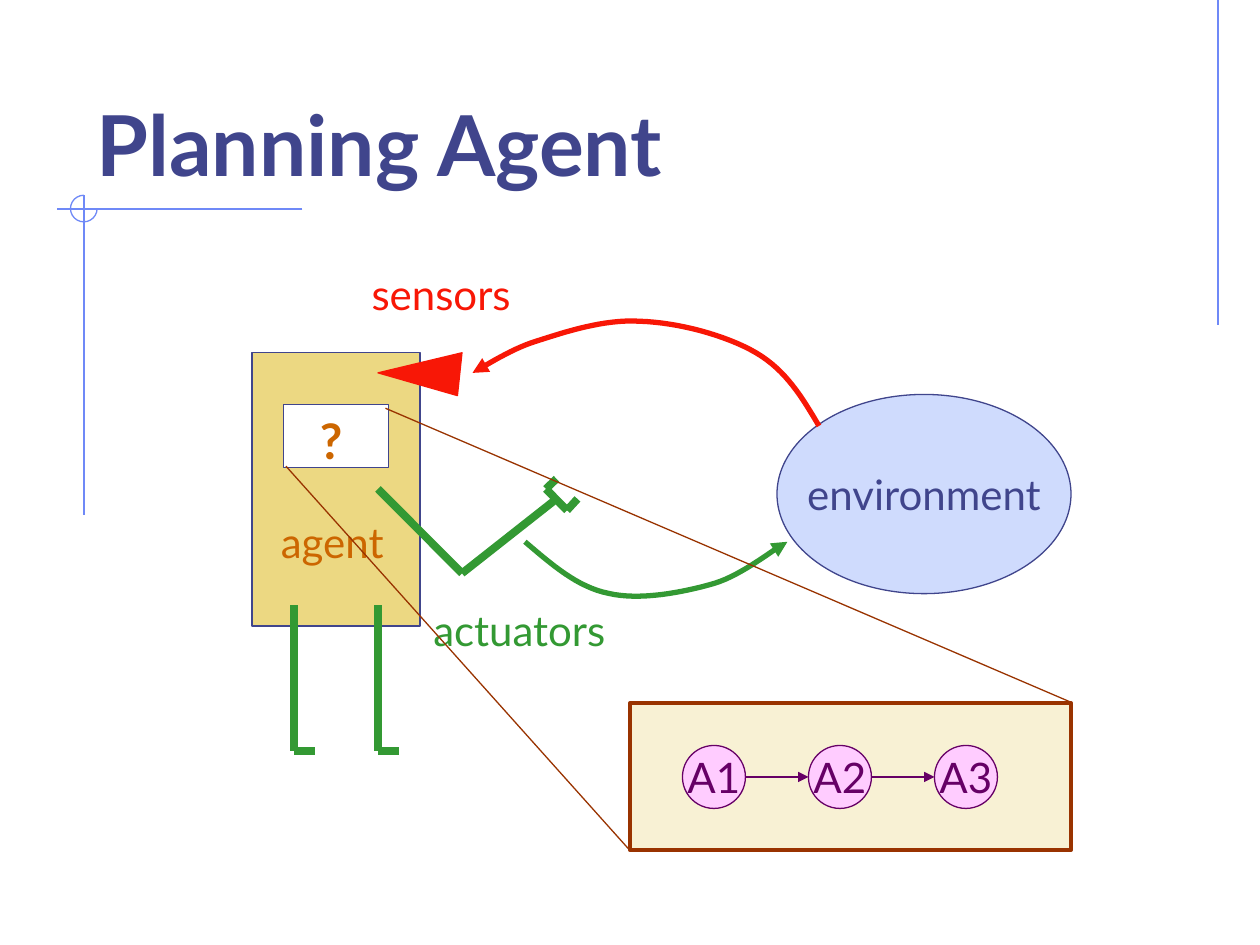
"""Draw the planning agent slide: agent, environment and plan."""
from dataclasses import dataclass

from lxml import etree
from pptx import Presentation
from pptx.dml.color import RGBColor
from pptx.enum import shapes as kinds, text as txt
from pptx.oxml import ns
from pptx.util import Pt

FONT = "Lato"
NAVY, PALE, RULE = "40458C", "CFDBFD", "6F89F7"
RED, GREEN, ORANGE = "F81706", "339933", "CC6600"
SAND, CREAM, BROWN = "ECD882", "F8F1D4", "993300"
PINK, PLUM, WHITE = "FFCCFF", "660066", "FFFFFF"
RECT, OVAL = kinds.MSO_SHAPE.RECTANGLE, kinds.MSO_SHAPE.OVAL
Point = tuple[float, float]


@dataclass
class Box:
    left: float
    top: float
    width: float
    height: float

    def place(self) -> list[Pt]:
        return [Pt(n) for n in (self.left, self.top, self.width, self.height)]


@dataclass
class Pen:
    color: str
    width: float = 0.75
    arrow: bool = False


@dataclass
class Label:
    words: str
    color: str
    size: float = 24
    bold: bool = False


def tint(value: str) -> RGBColor:
    return RGBColor.from_string(value)


def stroke(item, pen: Pen) -> None:
    item.line.color.rgb = tint(pen.color)
    item.line.width = Pt(pen.width)
    if pen.arrow:
        edge = item.line._get_or_add_ln()
        etree.SubElement(edge, ns.qn("a:tailEnd"), type="triangle")


def paint(shape, fill: str | None, pen: Pen) -> None:
    shape.shadow.inherit = False
    if fill:
        shape.fill.solid()
        shape.fill.fore_color.rgb = tint(fill)
    else:
        shape.fill.background()
    stroke(shape, pen)


def write(frame, label: Label, align=txt.PP_ALIGN.LEFT) -> None:
    para = frame.paragraphs[0]
    para.alignment = align
    run = para.add_run()
    run.text = label.words
    font = run.font
    font.name, font.size, font.bold = FONT, Pt(label.size), label.bold
    font.color.rgb = tint(label.color)


def block(slide, kind, box: Box, fill: str | None, pen: Pen, label: Label | None = None):
    shape = slide.shapes.add_shape(kind, *box.place())
    paint(shape, fill, pen)
    if label:
        frame = shape.text_frame
        frame.word_wrap = False
        frame.vertical_anchor = txt.MSO_ANCHOR.MIDDLE
        write(frame, label, txt.PP_ALIGN.CENTER)
    return shape


def note(slide, box: Box, label: Label) -> None:
    frame = slide.shapes.add_textbox(*box.place()).text_frame
    frame.word_wrap = False
    frame.auto_size = txt.MSO_AUTO_SIZE.SHAPE_TO_FIT_TEXT
    write(frame, label)


def line(slide, start: Point, end: Point, pen: Pen) -> None:
    link = slide.shapes.add_connector(
        kinds.MSO_CONNECTOR.STRAIGHT, *(Pt(n) for n in start + end))
    stroke(link, pen)
    etree.SubElement(link._element.spPr, ns.qn("a:effectLst"))


def outline(slide, points: list[Point], fill: str | None, pen: Pen) -> None:
    first, *rest = [(Pt(x), Pt(y)) for x, y in points]
    draft = slide.shapes.build_freeform(*first)
    draft.add_line_segments(rest, close=fill is not None)
    paint(draft.convert_to_shape(), fill, pen)


def bend(knots: list[Point], steps: int = 16) -> list[Point]:
    points = knots[:1]
    for i in range(0, len(knots) - 1, 3):
        group = knots[i:i + 4]
        for step in range(1, steps + 1):
            t = step / steps
            u = 1 - t
            parts = (u ** 3, 3 * u * u * t, 3 * u * t * t, t ** 3)
            points.append((sum(w * p[0] for w, p in zip(parts, group)),
                           sum(w * p[1] for w, p in zip(parts, group))))
    return points


def frame_page(slide) -> None:
    pen = Pen(RULE)
    for start, end in (((696, 0), (696, 186)), ((172.8, 119.5), (32.4, 119.5)),
                       ((48, 111.6), (48, 294.5))):
        line(slide, start, end, pen)
    arc = block(slide, kinds.MSO_SHAPE.ARC, Box(40.3, 111.6, 15.2, 15.2), None, pen)
    arc.adjustments[0], arc.adjustments[1] = 0, 162

    title = slide.shapes.title
    title.left, title.top, title.width, title.height = Box(48, 24, 612, 90).place()
    frame = title.text_frame
    frame.word_wrap = True
    frame.auto_size = txt.MSO_AUTO_SIZE.NONE
    frame.vertical_anchor = txt.MSO_ANCHOR.BOTTOM
    write(frame, Label("Planning Agent", NAVY, 48, True))


def draw_world(slide) -> None:
    block(slide, OVAL, Box(444, 225.4, 168, 113.8), PALE, Pen(NAVY),
          Label("environment", NAVY))
    sense = [(468, 243.4), (458.6, 227.5), (449.3, 211.7), (432, 201.6),
             (414.7, 191.5), (387.4, 184.3), (365.8, 183.6),
             (344.9, 182.2), (321.8, 190.1), (306, 195.1),
             (290.2, 200.2), (275.8, 210.2), (270, 213.1)]
    act = [(300, 309.6), (315.4, 322.6), (329.8, 335.5), (347.8, 339.1),
           (365.8, 343.4), (391, 338.4), (408.2, 333.4),
           (424.8, 328.3), (442.8, 313.2), (450, 309.6)]
    for knots, color in ((sense, RED), (act, GREEN)):
        outline(slide, bend(knots), None, Pen(color, 3, True))


def draw_agent(slide) -> None:
    block(slide, RECT, Box(144, 201.6, 96, 156.2), SAND, Pen(NAVY))
    note(slide, Box(153.4, 291.6, 79.2, 36), Label("agent", ORANGE))
    block(slide, RECT, Box(162, 231.1, 60, 36), WHITE, Pen(NAVY))
    note(slide, Box(175.7, 231.1, 27.4, 41), Label("?", ORANGE, 28, True))

    limb = Pen(GREEN, 4.5)
    elbow, palm, thumb = (264, 327.6), (312, 279.4), (324, 291.6)
    for start, end in (((216, 279.4), elbow), (elbow, (318, 285.1)), (palm, thumb),
                       (palm, (318, 273.6)), (thumb, (330, 285.1))):
        line(slide, start, end, limb)
    for x in (168, 216):
        line(slide, (x, 429.1), (x, 345.6), limb)
        line(slide, (x, 429.1), (x + 12, 429.1), limb)

    outline(slide, [(216, 213.1), (264, 201.6), (261.4, 226.1)], RED, Pen(RED))
    note(slide, Box(205.2, 149.8, 101.5, 36), Label("sensors", RED))
    note(slide, Box(240.5, 342, 121, 36), Label("actuators", GREEN))


def draw_plan(slide) -> None:
    block(slide, RECT, Box(360, 401.8, 252, 84), CREAM, Pen(BROWN, 2.25))
    line(slide, (163.4, 266.4), (360, 486), Pen(BROWN))
    line(slide, (220.3, 233.3), (611.3, 401), Pen(BROWN))
    left, top, size, pitch = 390, 426, 36, 72
    mid = top + size / 2
    for i, name in enumerate(("A1", "A2", "A3")):
        x = left + i * pitch
        block(slide, OVAL, Box(x, top, size, size), PINK, Pen(PLUM), Label(name, PLUM))
        if i:
            line(slide, (x - pitch + size, mid), (x, mid), Pen(PLUM, arrow=True))


def main() -> None:
    deck = Presentation()
    deck.slide_width, deck.slide_height = Pt(720), Pt(540)
    slide = deck.slides.add_slide(deck.slide_layouts[5])
    for draw in (frame_page, draw_world, draw_agent, draw_plan):
        draw(slide)
    deck.save("out.pptx")


if __name__ == "__main__":
    main()
